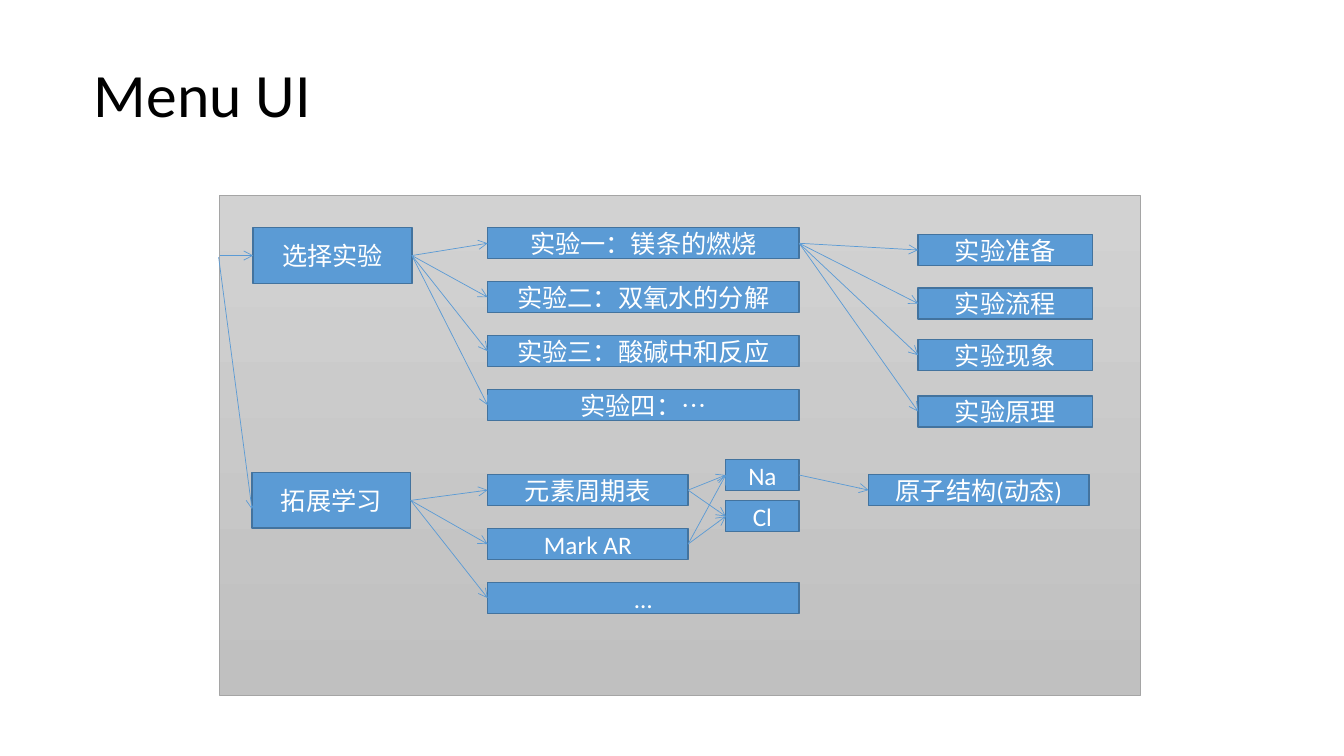
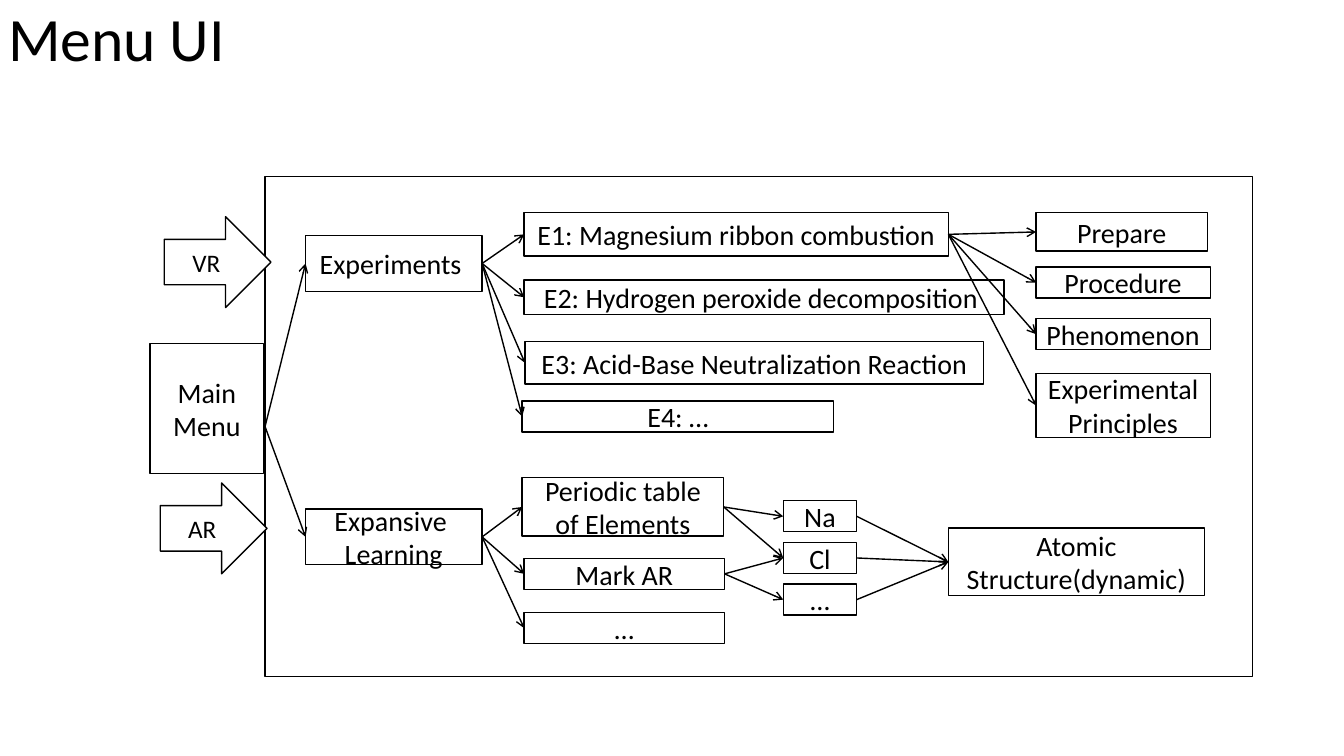
from dataclasses import dataclass

from lxml import etree
from pptx import Presentation
from pptx import util as u
from pptx.dml.color import RGBColor
from pptx.enum import shapes, text
from pptx.oxml.ns import qn


@dataclass(frozen=True)
class Theme:
    font: str = "Calibri"
    title_size: int = 44
    arrow_size: int = 18
    ink: str = "000000"
    paper: str = "FFFFFF"
    panel_stops: tuple = ("D2D2D2", "C0C0C0")


theme = Theme()
TOP, LEFT, BOTTOM, RIGHT = range(4)

blue = dict(fill="5B9BD5", line="43739E", width=1, color=theme.paper, size=18,
            link="5B9BD5", link_width=0.5, panel_line="A5A5A5", panel_width=0.5)
outline = dict(fill=theme.paper, line=theme.ink, width=1, color=theme.ink, size=20,
               link=theme.ink, link_width=1, panel_line=theme.ink, panel_width=1)


def add_box(page, words, place, look, kind=shapes.MSO_SHAPE.RECTANGLE, **changes):
    """Add a filled shape with centred text; place is left, top, width, height in cm."""
    style = {**look, **changes}
    box = page.shapes.add_shape(kind, *map(u.Cm, place))
    box.shadow.inherit = False
    box.fill.solid()
    box.fill.fore_color.rgb = RGBColor.from_string(style["fill"])
    box.line.color.rgb = RGBColor.from_string(style["line"])
    box.line.width = u.Pt(style["width"])
    box.text_frame.text = words
    for para in box.text_frame.paragraphs:
        para.alignment = text.PP_ALIGN.CENTER
        font = {"name": theme.font, "size": u.Pt(style["size"])}
        for key, value in font.items():
            setattr(para.font, key, value)
        para.font.color.rgb = RGBColor.from_string(style["color"])
    return box


def add_arrow(page, start, end, look):
    """Add an arrow; each end is a (shape, side) pair or a point in cm."""
    arrow = page.shapes.add_connector(shapes.MSO_CONNECTOR.STRAIGHT, 0, 0, 0, 0)
    if isinstance(start[0], float):
        arrow.begin_x, arrow.begin_y = map(u.Cm, start)
    else:
        arrow.begin_connect(*start)
    if isinstance(end[0], float):
        arrow.end_x, arrow.end_y = map(u.Cm, end)
    else:
        arrow.end_connect(*end)
    arrow.line.color.rgb = RGBColor.from_string(look["link"])
    arrow.line.width = u.Pt(look["link_width"])
    outline_xml = arrow.line._get_or_add_ln()
    etree.SubElement(outline_xml, qn("a:tailEnd"), type="arrow")
    etree.SubElement(arrow._element.spPr, qn("a:effectLst"))


# Content of the Chinese menu: rows share one pitch
pitch, row = 1.36, 0.78
chinese_boxes = {
    "experiments": ("选择实验", 6.38, 5.74, 4, 1.4),
    "learning": ("拓展学习", 6.35, 11.91, 4, 1.4),
    "na": ("Na", 18.29, 11.58, 1.85, row),
    "cl": ("Cl", 18.29, 12.62, 1.85, row),
    "atom": ("原子结构(动态)", 21.89, 11.96, 5.56, row),
}
trials = ["实验一：镁条的燃烧", "实验二：双氧水的分解", "实验三：酸碱中和反应", "实验四：…"]
for i, words in enumerate(trials):
    chinese_boxes[f"e{i + 1}"] = (words, 12.29, 5.74 + i * pitch, 7.85, row)
topics = [("table", "元素周期表", 5.05), ("mark", "Mark AR", 5.05), ("more", "…", 7.85)]
for i, (name, words, width) in enumerate(topics):
    chinese_boxes[name] = (words, 12.29, 11.96 + i * pitch, width, row)
steps = [("prepare", "实验准备", 5.91), ("procedure", "实验流程", 7.26),
         ("phenomenon", "实验现象", 8.56), ("principles", "实验原理", 9.98)]
for name, words, top in steps:
    chinese_boxes[name] = (words, 23.14, top, 4.39, row)

# Content of the English menu
english_boxes = {
    "experiments": ("Experiments ", 7.7, 5.94, 4.45, 1.4),
    "learning": ("Expansive \nLearning", 7.7, 12.83, 4.45, 1.4),
    "e1": ("E1: Magnesium ribbon combustion", 13.21, 5.36, 10.69, 1.09),
    "e2": ("E2: Hydrogen peroxide decomposition ", 13.21, 7.06, 12.09, 0.86),
    "e3": ("E3: Acid-Base Neutralization Reaction", 13.23, 8.61, 11.56, 1.07),
    "e4": ("E4: …", 13.16, 10.11, 7.85, row),
    "prepare": ("Prepare", 26.11, 5.36, 4.32, 0.97),
    "procedure": ("Procedure", 26.11, 6.73, 4.39, row),
    "phenomenon": ("Phenomenon", 26.11, 8.03, 4.39, row),
    "principles": ("Experimental \nPrinciples", 26.11, 9.42, 4.39, 1.6),
    "table": ("Periodic table of Elements", 13.16, 12.04, 5.08, 1.47),
    "mark": ("Mark AR", 13.21, 14.07, 5.05, row),
    "more": ("…", 13.21, 15.44, 5.05, row),
    "atom": ("Atomic Structure(dynamic)", 23.9, 13.31, 6.45, 1.7),
}
for i, (name, words) in enumerate([("na", "Na"), ("cl", "Cl"), ("others", "…")]):
    english_boxes[name] = (words, 19.74, 12.62 + i * 1.05, 1.85, row)

# Links common to both menus, then those of each one
shared_links = {
    "experiments": ["e1", "e2", "e3", "e4"],
    "e1": ["prepare", "procedure", "phenomenon", "principles"],
    "learning": ["table", "mark", "more"],
    "table": ["na", "cl"],
    "na": ["atom"],
}
menus = [
    dict(look=blue, title=(2.11, 0.86, 21.59, 3.18), panel=(5.54, 4.93, 23.19, 12.6),
         boxes=chinese_boxes, links={"mark": ["na", "cl"]}),
    dict(look=outline, title=(-0.05, 0.05, 6.27, 1.98), panel=(6.68, 4.45, 24.89, 12.6),
         boxes=english_boxes,
         links={"mark": ["cl", "others"], "cl": ["atom"], "others": ["atom"]}),
]

deck = Presentation()
deck.slide_width, deck.slide_height = u.Cm(33.87), u.Cm(19.05)
drawn = []

for menu in menus:
    page = deck.slides.add_slide(deck.slide_layouts[5])
    look = menu["look"]

    # Title
    title = page.shapes.title
    for side, length in zip(("left", "top", "width", "height"), menu["title"]):
        setattr(title, side, u.Cm(length))
    title.text_frame.vertical_anchor = text.MSO_ANCHOR.MIDDLE
    para = title.text_frame.paragraphs[0]
    para.alignment, para.line_spacing = text.PP_ALIGN.LEFT, 0.9
    span = para.add_run()
    span.text = "Menu UI"
    for key, value in {"name": theme.font, "size": u.Pt(theme.title_size)}.items():
        setattr(span.font, key, value)
    span.font.color.rgb = RGBColor.from_string(theme.ink)

    # Panel and menu boxes
    panel = add_box(page, "", menu["panel"], look, fill=theme.paper,
                    line=look["panel_line"], width=look["panel_width"])
    boxes = {name: add_box(page, words, place, look)
             for name, (words, *place) in menu["boxes"].items()}

    # Arrows between boxes
    for links in (shared_links, menu["links"]):
        for source, targets in links.items():
            for target in targets:
                add_arrow(page, (boxes[source], RIGHT), (boxes[target], LEFT), look)
    drawn.append((page, panel, boxes))

# Chinese menu: grey gradient and arrows from the panel edge
page, panel, boxes = drawn[0]
panel.fill.gradient()
panel.fill.gradient_angle = 270
for stop, color in zip(panel.fill.gradient_stops, theme.panel_stops):
    stop.color.rgb = RGBColor.from_string(color)
for stop, position in zip(panel.fill.gradient_stops, (0, 1)):
    stop.position = position
add_arrow(page, (5.54, 6.44), (boxes["experiments"], LEFT), blue)
add_arrow(page, (5.51, 6.48), (6.35, 12.83), blue)

# English menu: entry tab, its arrows and the two mode arrows
page, panel, boxes = drawn[1]
for name in ("experiments", "learning"):
    add_arrow(page, (panel, LEFT), (boxes[name], LEFT), outline)
add_box(page, "Main Menu", (3.78, 8.66, 2.87, 3.28), outline)
for words, left, top in [("VR", 4.14, 5.46), ("AR", 4.04, 12.17)]:
    add_box(page, words, (left, top, 2.69, 2.29), outline,
            shapes.MSO_SHAPE.RIGHT_ARROW, size=theme.arrow_size)

deck.save("out.pptx")
